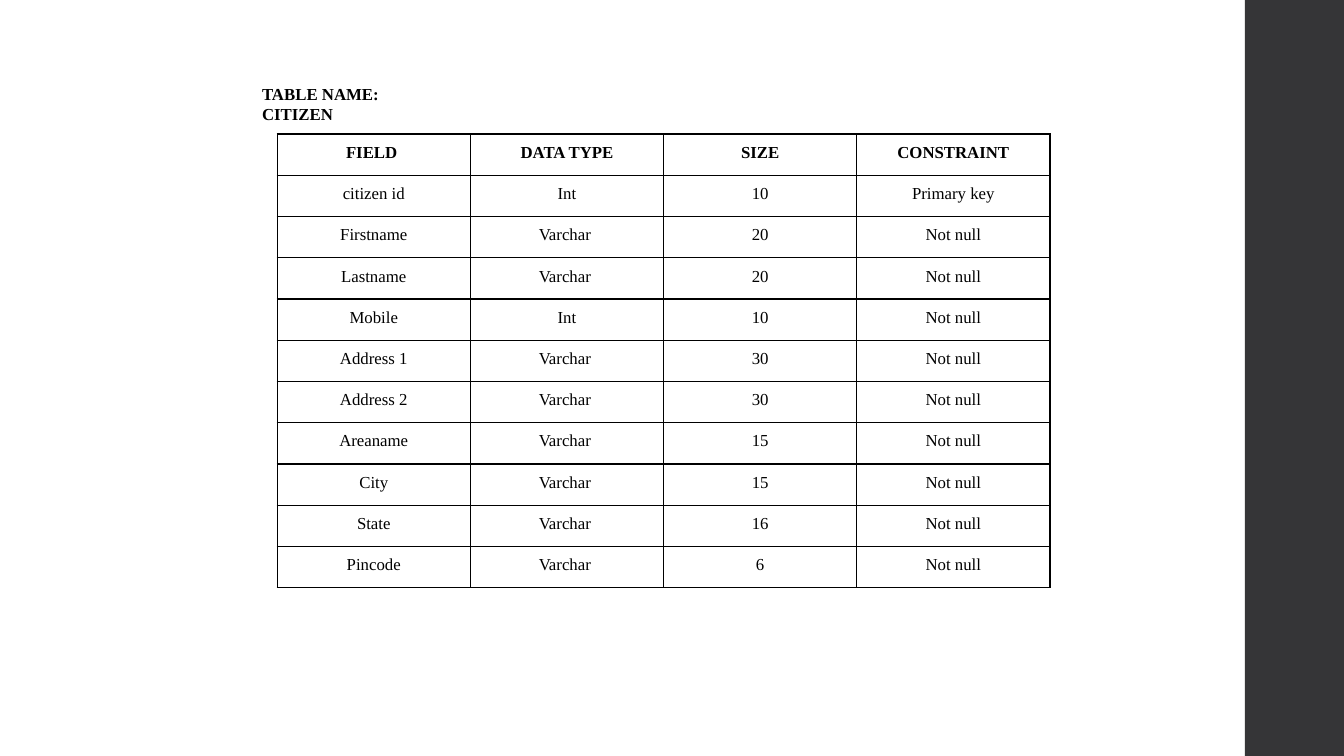
from lxml import etree
from pptx import Presentation
from pptx.dml.color import RGBColor
from pptx.enum.shapes import MSO_SHAPE
from pptx.enum.text import MSO_ANCHOR, MSO_AUTO_SIZE, PP_ALIGN
from pptx.oxml.ns import qn
from pptx.util import Pt

BLACK = RGBColor(0x00, 0x00, 0x00)
CHARCOAL = RGBColor(0x35, 0x35, 0x37)
RECTANGLE = MSO_SHAPE.RECTANGLE
TOP = MSO_ANCHOR.TOP
NO_AUTOFIT = MSO_AUTO_SIZE.NONE
LEFT, CENTER = PP_ALIGN.LEFT, PP_ALIGN.CENTER

HEADERS = ["FIELD ", "DATA TYPE", "SIZE", "CONSTRAINT"]
FIELDS = [
    ("citizen id", "Int", "10", "Primary key"),
    ("Firstname", "Varchar ", "20", "Not null"),
    ("Lastname", "Varchar ", "20", "Not null"),
    ("Mobile", "Int", "10", "Not null"),
    ("Address 1", "Varchar ", "30", "Not null"),
    ("Address 2", "Varchar ", "30", "Not null"),
    ("Areaname", "Varchar ", "15", "Not null"),
    ("City", "Varchar ", "15", "Not null"),
    ("State", "Varchar ", "16", "Not null"),
    ("Pincode", "Varchar ", "6", "Not null"),
]
ROWS = [HEADERS, *FIELDS]
COLUMN_WIDTH = Pt(138)
ROW_HEIGHT = Pt(29.48)


def write_text(text_frame, text, bold=False, align=LEFT, spacing=1.0):
    paragraph = text_frame.paragraphs[0]
    paragraph.text = text
    paragraph.alignment = align
    paragraph.line_spacing = spacing
    font = paragraph.runs[0].font
    font.name = "Times New Roman"
    font.size = Pt(12)
    font.bold = bold
    font.color.rgb = BLACK


def add_borders(cell):
    properties = cell._tc.get_or_add_tcPr()
    for side in ("a:lnL", "a:lnR", "a:lnT", "a:lnB"):
        line = etree.SubElement(properties, qn(side), w=str(Pt(1)))
        fill = etree.SubElement(line, qn("a:solidFill"))
        etree.SubElement(fill, qn("a:srgbClr"), val=str(BLACK))


presentation = Presentation()
presentation.slide_width = Pt(960)
presentation.slide_height = Pt(540)
slide = presentation.slides.add_slide(presentation.slide_layouts[5])

# Side band
band = slide.shapes.add_shape(RECTANGLE, Pt(889.2), Pt(0), Pt(70.8), Pt(540))
band.shadow.inherit = False
band.fill.solid()
band.fill.fore_color.rgb = CHARCOAL
band.line.fill.background()

# Title, wrapping after the colon
title = slide.shapes.title
title.left, title.top, title.width, title.height = Pt(180), Pt(56), Pt(151.2), Pt(49)
title_frame = title.text_frame
title_frame.word_wrap = True
title_frame.auto_size = NO_AUTOFIT
title_frame.vertical_anchor = TOP
title_frame.margin_right = Pt(14)
write_text(title_frame, "TABLE NAME: CITIZEN", bold=True)

# Field table
table = slide.shapes.add_table(
    len(ROWS), len(HEADERS), Pt(198), Pt(95.76),
    COLUMN_WIDTH * len(HEADERS), ROW_HEIGHT * len(ROWS),
).table
table.first_row = False
table.horz_banding = False
for column in table.columns:
    column.width = COLUMN_WIDTH
for row_index, values in enumerate(ROWS):
    table.rows[row_index].height = ROW_HEIGHT
    for column_index, value in enumerate(values):
        cell = table.cell(row_index, column_index)
        add_borders(cell)
        cell.fill.background()
        cell.margin_left = cell.margin_right = Pt(5)
        cell.margin_top = cell.margin_bottom = Pt(0)
        write_text(cell.text_frame, value, bold=row_index == 0, align=CENTER, spacing=1.5)

presentation.save("out.pptx")
